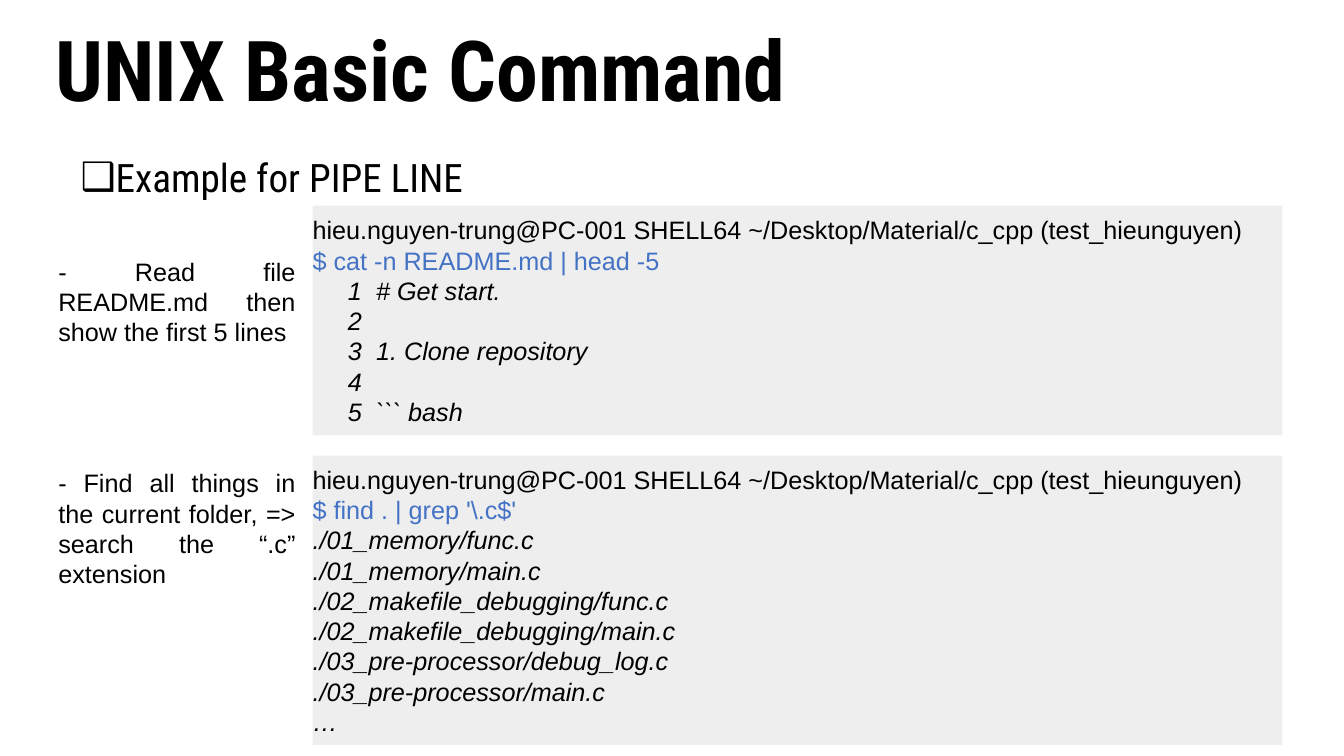
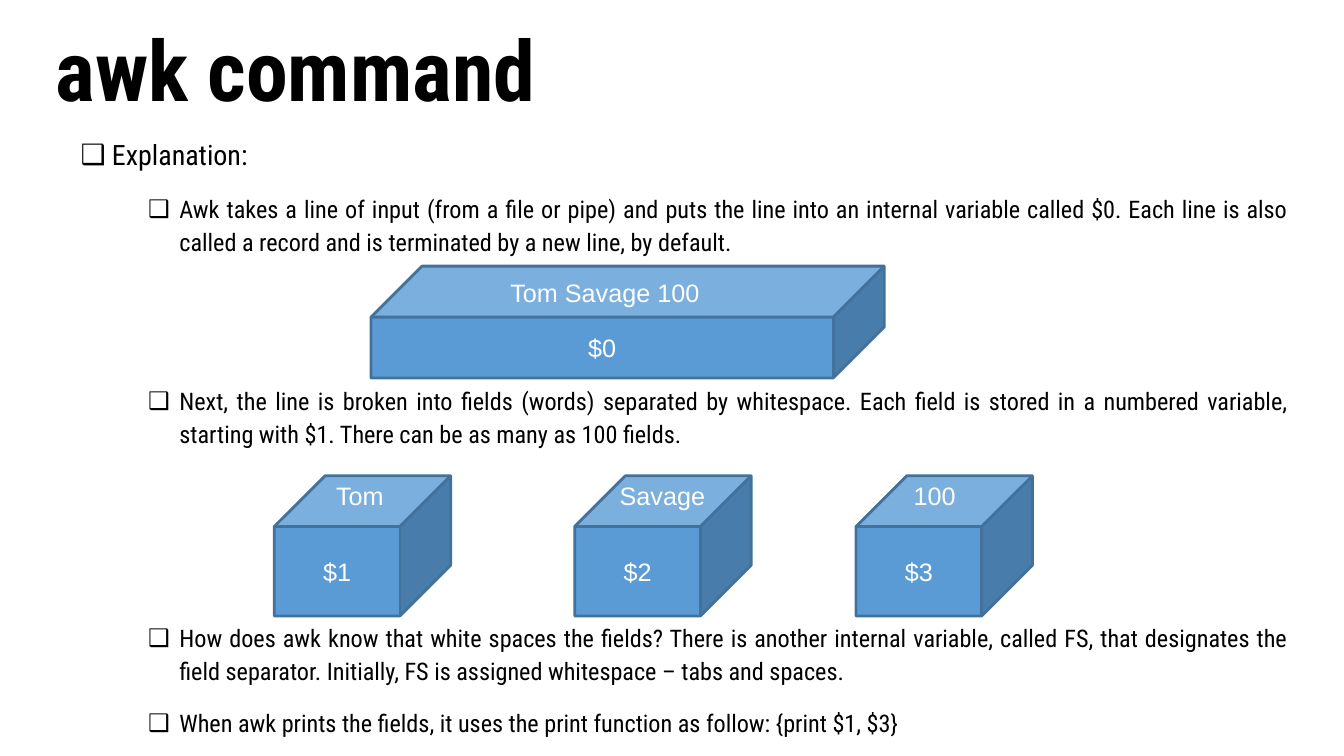
from dataclasses import dataclass
from typing import Any, NamedTuple

from lxml.etree import SubElement
from pptx import Presentation
from pptx.dml.color import RGBColor
from pptx.enum.shapes import MSO_SHAPE
from pptx.enum.text import MSO_ANCHOR, MSO_AUTO_SIZE, PP_ALIGN
from pptx.oxml.ns import qn
from pptx.util import Inches, Pt


@dataclass(frozen=True)
class Theme:
    black: str = "000000"
    white: str = "FFFFFF"
    blue: str = "4472C4"
    panel: str = "EEEEEE"
    cube: str = "5B9BD5"
    edge: str = "42719B"
    head: str = "Roboto Condensed"
    body: str = "Arial"
    title: float = 60
    topic: float = 28
    lead: float = 20
    text: float = 18
    point: float = 17.3


THEME = Theme()


class Box(NamedTuple):
    left: float
    top: float
    width: float
    height: float

    def place(self) -> list[int]:
        return [Inches(side) for side in self]


class Point(NamedTuple):
    text: str
    size: float = THEME.point
    level: int = 1
    align: Any = PP_ALIGN.JUSTIFY


class Note(NamedTuple):
    text: str
    box: Box


class Panel(NamedTuple):
    box: Box
    command: str
    output: list[str]
    margin: float = 0
    hang: float = 0


class Cube(NamedTuple):
    name: str
    value: str
    box: Box
    label: Box
    depth: float


LEFT, WIDE = 0.48, 12.37
TITLE = Box(LEFT, 0.28, WIDE, 0.92)
INSET = (0.07, 0.04)
PAD = (0.1, 0.05)
PROMPT = "hieu.nguyen-trung@PC-001 SHELL64 ~/Desktop/Material/c_cpp (test_hieunguyen)"

NOTES = [
    Note("- Read file README.md then show the first 5 lines",
         Box(LEFT, 2.49, 2.55, 1.01)),
    Note("- Find all things in the current folder, => search the “.c” extension",
         Box(LEFT, 4.59, 2.55, 1.31)),
]
PANELS = [
    Panel(Box(3.1, 2.04, 9.62, 2.28), "$ cat -n README.md | head -5",
          ["1\t# Get start.", "2", "3\t1. Clone repository", "4", "5\t``` bash"],
          margin=0.63, hang=0.28),
    Panel(Box(3.1, 4.52, 9.62, 2.87), "$ find . | grep '\\.c$'",
          ["./01_memory/func.c", "./01_memory/main.c",
           "./02_makefile_debugging/func.c", "./02_makefile_debugging/main.c",
           "./03_pre-processor/debug_log.c", "./03_pre-processor/main.c", "…"]),
]

POINTS = [
    (1.28, [
        Point("Explanation:", THEME.lead, 0),
        Point("Awk takes a line of input (from a file or pipe) and puts the line into "
              "an internal variable called $0. Each line is also called a record and "
              "is terminated by a new line, by default."),
    ]),
    (3.75, [
        Point("Next, the line is broken into fields (words) separated by whitespace. "
              "Each field is stored in a numbered variable, starting with $1. There "
              "can be as many as 100 fields."),
    ]),
    (6.1, [
        Point("How does awk know that white spaces the fields? There is another "
              "internal variable, called FS, that designates the field separator. "
              "Initially, FS is assigned whitespace – tabs and spaces."),
        Point("When awk prints the fields, it uses the print function as follow: "
              "{print $1, $3}"),
    ]),
]
FIELDS = [("Tom", 2.72, 2.17), ("Savage", 5.7, 5.17), ("100", 8.49, 7.87)]
CUBES = [
    Cube("$0", "Tom Savage 100", Box(3.68, 2.64, 5.09, 1.11),
         Box(4.6, 2.7, 2.8, 0.4), 0.456),
    *(Cube(f"${count}", word, Box(left, 4.72, 1.75, 1.39),
           Box(label, 4.72, 2.8, 0.4), 0.362)
      for count, (word, left, label) in enumerate(FIELDS, 1)),
]


def paint(fill: Any, color: str) -> None:
    fill.solid()
    fill.fore_color.rgb = RGBColor.from_string(color)


def setup(frame: Any, inset: tuple[float, float], anchor: Any = MSO_ANCHOR.TOP,
          grow: bool = False) -> Any:
    """Set the wrapping, margins, anchor and fit of a text frame."""
    frame.word_wrap = True
    frame.margin_left = frame.margin_right = Inches(inset[0])
    frame.margin_top = frame.margin_bottom = Inches(inset[1])
    frame.vertical_anchor = anchor
    frame.auto_size = MSO_AUTO_SIZE.SHAPE_TO_FIT_TEXT if grow else MSO_AUTO_SIZE.NONE
    return frame


def get_para(frame: Any, index: int) -> Any:
    return frame.add_paragraph() if index else frame.paragraphs[0]


def add_run(para: Any, text: str, size: float = THEME.text, face: str = THEME.body,
            color: str = THEME.black, bold: bool = False, italic: bool = False) -> None:
    run = para.add_run()
    run.text = text
    font = run.font
    font.size, font.name = Pt(size), face
    font.bold, font.italic = bold, italic
    font.color.rgb = RGBColor.from_string(color)


def indent(para: Any, margin: float, hang: float) -> Any:
    props = para._p.get_or_add_pPr()
    props.set("marL", str(Inches(margin)))
    props.set("indent", str(-Inches(hang)))
    return props


def add_slide(deck: Any, title: str) -> Any:
    slide = deck.slides.add_slide(deck.slide_layouts[5])
    head = slide.shapes.title
    head.left, head.top, head.width, head.height = TITLE.place()
    para = setup(head.text_frame, INSET, MSO_ANCHOR.MIDDLE).paragraphs[0]
    para.alignment, para.line_spacing = PP_ALIGN.LEFT, 0.9
    add_run(para, title, THEME.title, THEME.head, bold=True)
    return slide


def add_points(slide: Any, box: Box, points: list[Point]) -> None:
    frame = setup(slide.shapes.add_textbox(*box.place()).text_frame, INSET)
    for index, point in enumerate(points):
        para = get_para(frame, index)
        para.level, para.alignment = point.level, point.align
        para.line_spacing = 1.15 if point.level else 1.14
        para.space_before = Pt(13.3 if point.level else 0)
        props = indent(para, 1.23 if point.level else 0.56, 0.31)
        tint = SubElement(props, qn("a:buClr"))
        SubElement(tint, qn("a:srgbClr"), val=THEME.black)
        SubElement(props, qn("a:buFont"), typeface=THEME.body)
        SubElement(props, qn("a:buChar"), char="❑")
        add_run(para, point.text, point.size, THEME.head)


def add_note(shapes: Any, note: Note, align: Any = PP_ALIGN.JUSTIFY,
             color: str = THEME.black) -> None:
    frame = setup(shapes.add_textbox(*note.box.place()).text_frame, PAD, grow=True)
    para = frame.paragraphs[0]
    para.alignment = align
    add_run(para, note.text, color=color)


def add_panel(slide: Any, panel: Panel) -> None:
    """Draw a terminal listing: prompt, command, then its output."""
    shape = slide.shapes.add_shape(MSO_SHAPE.RECTANGLE, *panel.box.place())
    shape.shadow.inherit = False
    paint(shape.fill, THEME.panel)
    shape.line.fill.background()
    frame = setup(shape.text_frame, (0, 0.07), MSO_ANCHOR.MIDDLE, grow=True)
    for index, text in enumerate([PROMPT, panel.command, *panel.output]):
        para = get_para(frame, index)
        para.alignment = PP_ALIGN.LEFT
        if index > 1:
            indent(para, panel.margin, panel.hang)
        add_run(para, text, color=THEME.blue if index == 1 else THEME.black,
                italic=index > 1)


def add_cube(slide: Any, cube: Cube) -> None:
    """Draw a cube named on its front, with its value on top, as one group."""
    shapes = slide.shapes.add_group_shape().shapes
    shape = shapes.add_shape(MSO_SHAPE.CUBE, *cube.box.place())
    shape.adjustments[0] = cube.depth
    shape.shadow.inherit = False
    paint(shape.fill, THEME.cube)
    paint(shape.line.fill, THEME.edge)
    shape.line.width = Pt(2)
    para = setup(shape.text_frame, PAD, MSO_ANCHOR.MIDDLE).paragraphs[0]
    para.alignment = PP_ALIGN.CENTER
    add_run(para, cube.name, color=THEME.white)
    add_note(shapes, Note(cube.value, cube.label), PP_ALIGN.CENTER, THEME.white)


def add_pipe(deck: Any) -> None:
    slide = add_slide(deck, "UNIX Basic Command")
    topic = Point("Example for PIPE LINE", THEME.topic, 0, PP_ALIGN.LEFT)
    add_points(slide, Box(LEFT, 1.42, WIDE, 5.68), [topic])
    for note in NOTES:
        add_note(slide.shapes, note)
    for panel in PANELS:
        add_panel(slide, panel)


def add_awk(deck: Any) -> None:
    slide = add_slide(deck, "awk command")
    for top, points in POINTS:
        add_points(slide, Box(LEFT, top, WIDE, 1.51), points)
    for cube in CUBES:
        add_cube(slide, cube)


def main() -> None:
    deck = Presentation()
    deck.slide_width, deck.slide_height = Inches(13.33), Inches(7.5)
    add_pipe(deck)
    add_awk(deck)
    deck.save("out.pptx")


if __name__ == "__main__":
    main()
